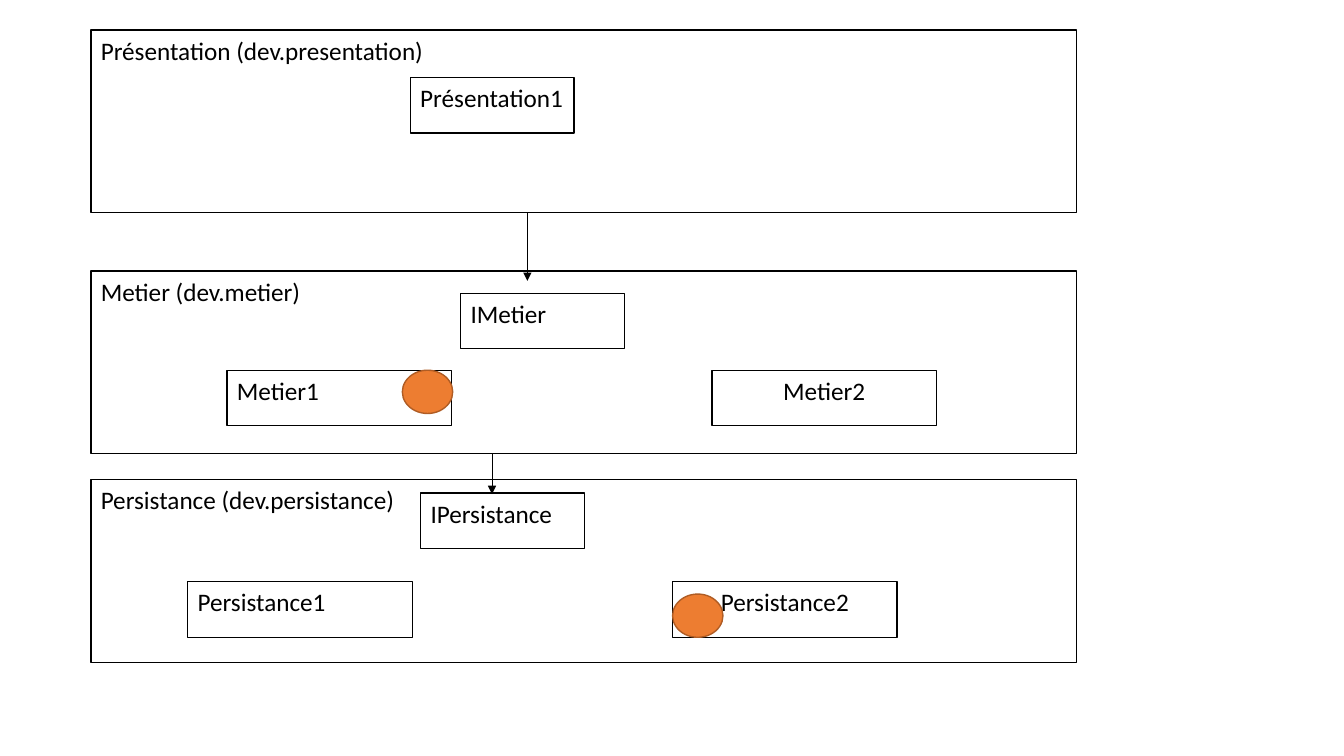
import pptx
import pptx.util
import pptx.dml.color
import pptx.enum.shapes
import pptx.enum.text
import pptx.oxml.ns
import lxml.etree

Cm = pptx.util.Cm
SHAPE = pptx.enum.shapes.MSO_SHAPE
ALIGN = pptx.enum.text.PP_ALIGN
LAYER_LEFT, LAYER_WIDTH, LAYER_HEIGHT = 2.29, 24.84, 4.6
CLASS_HEIGHT, CLASS_STEP = 1.4, 12.22


def color(value):
    """Return the colour for a hex string."""
    return pptx.dml.color.RGBColor.from_string(value)


def write(tf, text, size=18, font="Calibri", ink="000000", align=ALIGN.LEFT):
    """Write one formatted line at the top of a text frame."""
    tf.word_wrap = True
    tf.vertical_anchor = pptx.enum.text.MSO_ANCHOR.TOP
    p = tf.paragraphs[0]
    p.alignment = align
    r = p.add_run()
    r.text = text
    r.font.size = pptx.util.Pt(size)
    r.font.name = font
    r.font.color.rgb = color(ink)


def add_shape(s, kind, x, y, w, h, line="000000", fill=None):
    """Add an outlined shape, filled when a colour is given."""
    sp = s.shapes.add_shape(kind, Cm(x), Cm(y), Cm(w), Cm(h))
    sp.shadow.inherit = False
    sp.line.color.rgb = color(line)
    sp.line.width = pptx.util.Pt(1)
    if fill:
        sp.fill.solid()
        sp.fill.fore_color.rgb = color(fill)
    else:
        sp.fill.background()
    return sp


def add_box(s, text, x, y, w, h, **fmt):
    """Add a labelled rectangle."""
    sp = add_shape(s, SHAPE.RECTANGLE, x, y, w, h)
    write(sp.text_frame, text, **fmt)


def add_arrow(s, x, top, bottom):
    """Add a downward arrow."""
    straight = pptx.enum.shapes.MSO_CONNECTOR.STRAIGHT
    c = s.shapes.add_connector(straight, Cm(x), Cm(top), Cm(x), Cm(bottom))
    c.line.color.rgb = color("000000")
    c.line.width = pptx.util.Pt(0.5)
    qn = pptx.oxml.ns.qn
    lxml.etree.SubElement(c.line._get_or_add_ln(), qn("a:tailEnd"), type="triangle")
    lxml.etree.SubElement(c._element.spPr, qn("a:effectLst"))


def add_layer(s, box, title, entry, classes=(), first=None, dot=None, arrow=None):
    """Draw a layer with its entry box, classes, marker and incoming arrow."""
    x, y, w, h = box
    add_box(s, title, x, y, w, h)
    add_box(s, entry[0], x + entry[1], y + entry[2], 4.13, CLASS_HEIGHT)
    for i, (name, align) in enumerate(zip(classes, (ALIGN.LEFT, ALIGN.CENTER))):
        add_box(s, name, x + first[0] + i * CLASS_STEP, y + first[1],
                5.66, CLASS_HEIGHT, align=align)
    if dot:
        add_shape(s, SHAPE.OVAL, x + dot[0], y + dot[1], 1.27, 1.09,
                  line="AF5C24", fill="ED7D31")
    if arrow:
        add_arrow(s, x + arrow[0], y + arrow[1], y + arrow[2])


prs = pptx.Presentation()
prs.slide_width, prs.slide_height = Cm(33.87), Cm(19.05)
s = prs.slides.add_slide(prs.slide_layouts[6])

layers = [
    (0.76, dict(title="Présentation (dev.presentation)",
                entry=("Présentation1", 8.05, 1.19))),
    (6.83, dict(title="Metier (dev.metier)", entry=("IMetier", 9.32, 0.56),
                classes=("Metier1", "Metier2"), first=(3.43, 2.5),
                dot=(7.85, 2.5), arrow=(11, -1.47, 0.25))),
    (12.09, dict(title="Persistance (dev.persistance)",
                 entry=("IPersistance", 8.31, 0.33),
                 classes=("Persistance1", "Persistance2"), first=(2.44, 2.57),
                 dot=(14.66, 2.88), arrow=(10.11, -0.66, 0.36))),
]
for top, parts in layers:
    add_layer(s, (LAYER_LEFT, top, LAYER_WIDTH, LAYER_HEIGHT), **parts)

prs.save("out.pptx")
